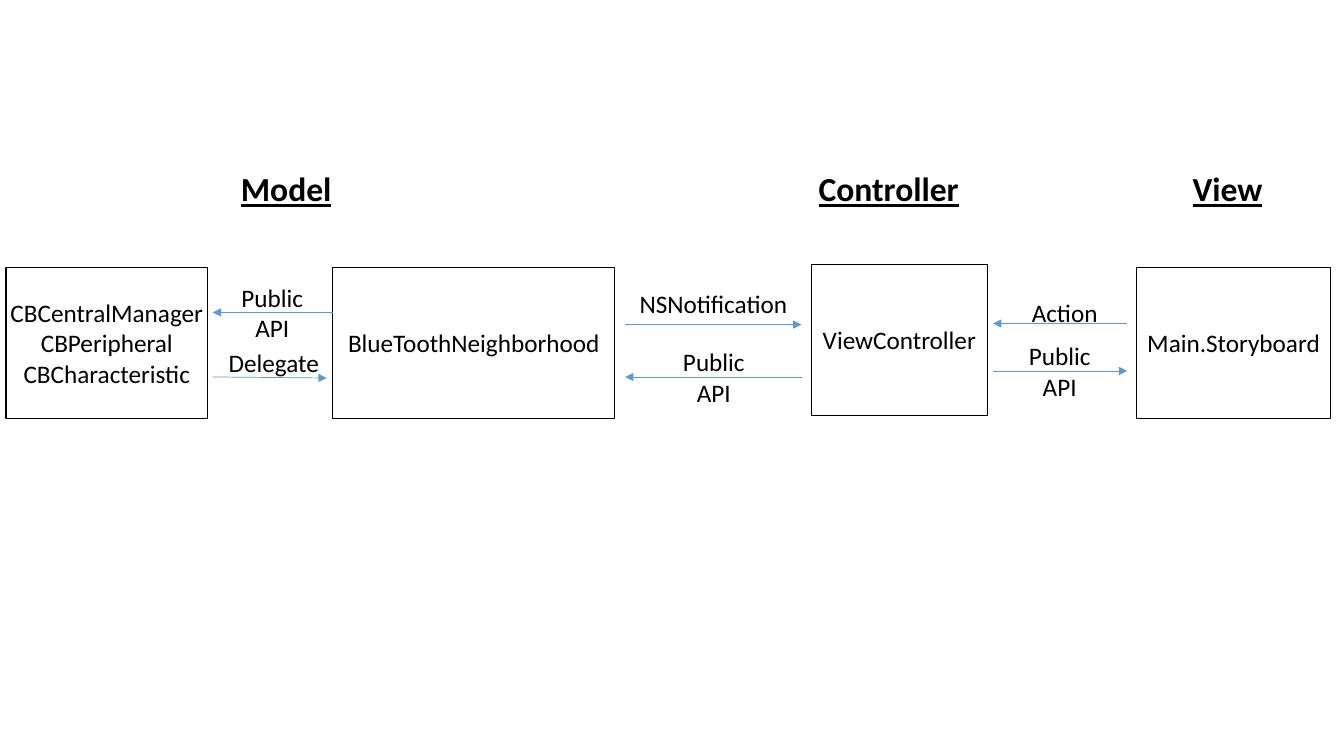
from typing import NamedTuple

from lxml import etree
from pptx import Presentation
from pptx.dml.color import RGBColor
from pptx.enum.shapes import MSO_CONNECTOR, MSO_SHAPE
from pptx.enum.text import MSO_ANCHOR, MSO_AUTO_SIZE, PP_ALIGN
from pptx.oxml.ns import qn
from pptx.util import Inches, Pt

STRAIGHT = MSO_CONNECTOR.STRAIGHT
RECT = MSO_SHAPE.RECTANGLE
TOP, MIDDLE = MSO_ANCHOR.TOP, MSO_ANCHOR.MIDDLE
LEFT, CENTER = PP_ALIGN.LEFT, PP_ALIGN.CENTER
FIT = MSO_AUTO_SIZE.SHAPE_TO_FIT_TEXT

COLORS = {"ink": "000000", "arrow": "5B9BD5"}
FONT = "Calibri"
BOX_HEIGHT = 1.5
HEADING_TOP, HEADING_HEIGHT = 1.62, 0.5
LINE_HEIGHT, LABEL_PADDING = 0.3, 0.1


class Heading(NamedTuple):
    """Name of an MVC layer."""
    text: str
    left: float
    width: float


class Box(NamedTuple):
    """Component with one class name per line."""
    text: str
    left: float
    top: float
    width: float


class Message(NamedTuple):
    """Arrow pointing from start to end, with its label."""
    text: str
    start: tuple[float, float]
    end: tuple[float, float]
    left: float
    top: float
    width: float


HEADINGS = [
    Heading("Model", 2.29, 1.11),
    Heading("Controller", 8.02, 1.61),
    Heading("View", 11.73, 0.9),
]
BOXES = [
    Box("CBCentralManager\nCBPeripheral\nCBCharacteristic", 0.06, 2.65, 2),
    Box("BlueToothNeighborhood", 3.3, 2.65, 2.8),
    Box("ViewController", 8.05, 2.62, 1.74),
    Box("Main.Storyboard", 11.27, 2.65, 1.93),
]
MESSAGES = [
    Message("Public\nAPI", (3.3, 3.1), (2.11, 3.1), 2.29, 2.75, 0.82),
    Message("Delegate", (2.11, 3.74), (3.24, 3.75), 2.16, 3.4, 1.11),
    Message("NSNotification", (6.2, 3.22), (7.95, 3.22), 6.2, 2.81, 1.75),
    Message("Public\nAPI", (7.95, 3.74), (6.2, 3.74), 6.67, 3.39, 0.82),
    Message("Action", (11.18, 3.21), (9.85, 3.21), 10.13, 2.9, 0.86),
    Message("Public\nAPI", (9.85, 3.68), (11.18, 3.68), 10.1, 3.33, 0.82),
]


def rgb(name: str) -> RGBColor:
    """Look up a named colour."""
    return RGBColor.from_string(COLORS[name])


def write(sp, text: str, *, size=18, bold=False, underline=False,
          align=CENTER, anchor=TOP) -> None:
    """Fill a shape with text, one paragraph per line."""
    tf = sp.text_frame
    tf.word_wrap = False
    tf.vertical_anchor = anchor
    for i, line in enumerate(text.split("\n")):
        p = tf.add_paragraph() if i else tf.paragraphs[0]
        p.alignment = align
        r = p.add_run()
        r.text = line
        r.font.name = FONT
        r.font.size = Pt(size)
        r.font.bold = bold
        r.font.underline = underline
        r.font.color.rgb = rgb("ink")


def add_label(s, text: str, left: float, top: float, width: float,
              height: float, **style) -> None:
    """Add a text box that fits its text."""
    sp = s.shapes.add_textbox(Inches(left), Inches(top), Inches(width), Inches(height))
    write(sp, text, **style)
    sp.text_frame.auto_size = FIT


def add_heading(s, heading: Heading) -> None:
    """Add a bold underlined layer name."""
    add_label(s, heading.text, heading.left, HEADING_TOP, heading.width, HEADING_HEIGHT,
              size=24, bold=True, underline=True, align=LEFT, anchor=MIDDLE)


def add_box(s, box: Box) -> None:
    """Add an outlined component box."""
    sp = s.shapes.add_shape(RECT, Inches(box.left), Inches(box.top),
                            Inches(box.width), Inches(BOX_HEIGHT))
    sp.shadow.inherit = False
    sp.fill.background()
    sp.line.color.rgb = rgb("ink")
    sp.line.width = Pt(0.75)
    write(sp, box.text, anchor=MIDDLE)


def add_message(s, message: Message) -> None:
    """Add an arrow and its label."""
    points = [Inches(v) for v in message.start + message.end]
    line = s.shapes.add_connector(STRAIGHT, *points)
    line.line.color.rgb = rgb("arrow")
    line.line.width = Pt(0.5)
    etree.SubElement(line.line._get_or_add_ln(), qn("a:tailEnd"), type="triangle")
    etree.SubElement(line._element.spPr, qn("a:effectLst"))
    rows = message.text.count("\n") + 1
    add_label(s, message.text, message.left, message.top, message.width,
              rows * LINE_HEIGHT + LABEL_PADDING)


def main() -> None:
    """Build the slide and save it."""
    prs = Presentation()
    prs.slide_width, prs.slide_height = Inches(13.33), Inches(7.5)
    s = prs.slides.add_slide(prs.slide_layouts.get_by_name("Blank"))
    for heading in HEADINGS:
        add_heading(s, heading)
    for box in BOXES:
        add_box(s, box)
    for message in MESSAGES:
        add_message(s, message)
    prs.save("out.pptx")


main()
